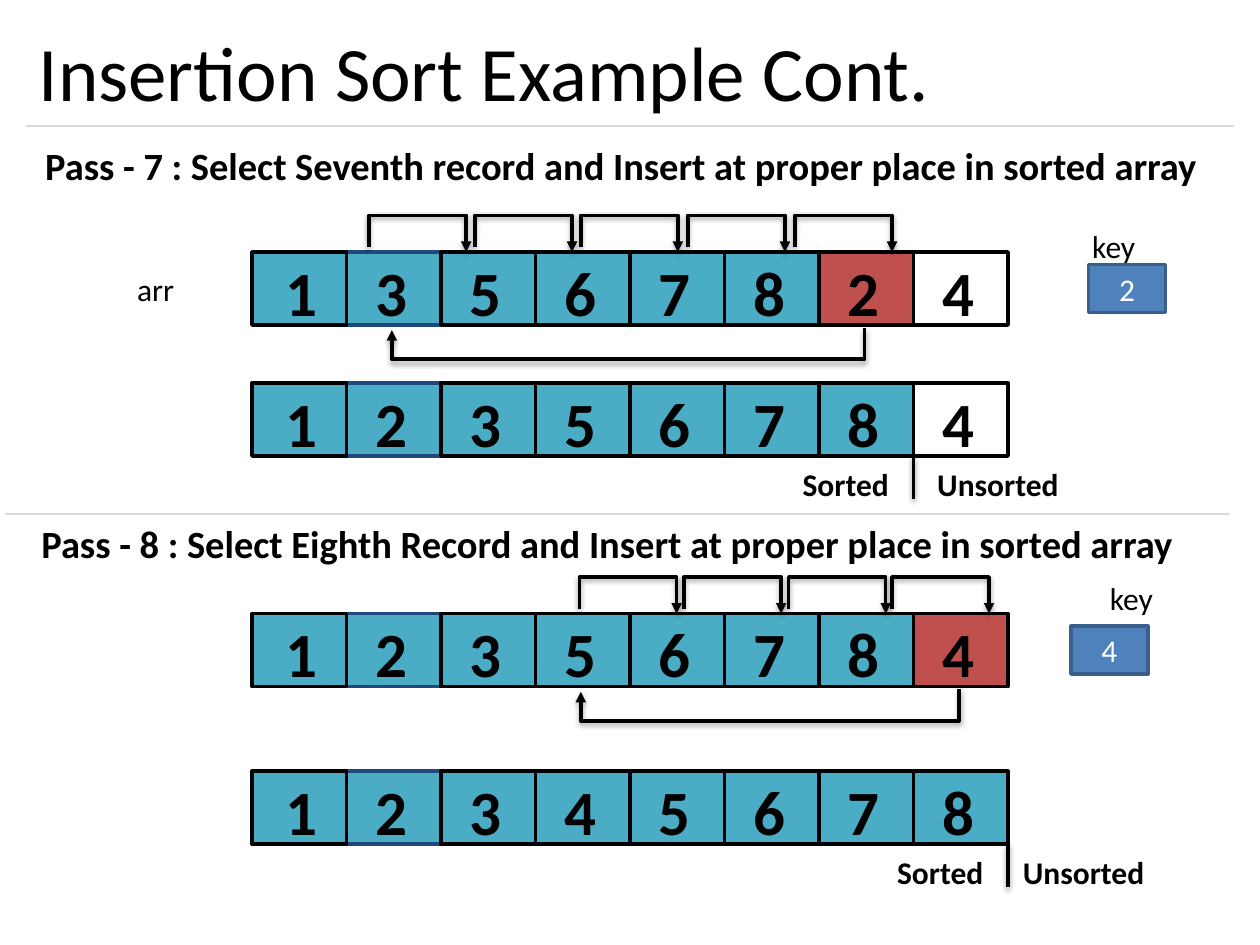
from lxml import etree
from pptx import Presentation
from pptx.dml.color import RGBColor
from pptx.enum.shapes import MSO_CONNECTOR, MSO_SHAPE
from pptx.enum.text import MSO_ANCHOR, MSO_AUTO_SIZE, PP_ALIGN
from pptx.oxml.ns import qn
from pptx.util import Emu, Pt

RECT = MSO_SHAPE.RECTANGLE
LINE, ELBOW = MSO_CONNECTOR.STRAIGHT, MSO_CONNECTOR.ELBOW
LEFT, MID, RIGHT = PP_ALIGN.LEFT, PP_ALIGN.CENTER, PP_ALIGN.RIGHT
TOP, CENTER = MSO_ANCHOR.TOP, MSO_ANCHOR.MIDDLE
GROW = MSO_AUTO_SIZE.SHAPE_TO_FIT_TEXT

BLACK, WHITE, GREY = "000000", "FFFFFF", "D9D9D9"
TEAL, RED, BLUE = "4BACC6", "C0504D", "4F81BD"
NAVY, STEEL = "1F497D", "3A5F8C"
CELL_W, CELL_H = 75, 58
ROW_X = 200
ARC_W, RISE = 77, 25


def px(n):
    """Scale of 100 px to the inch."""
    return Emu(round(n * 9144))


def rgb(code):
    return RGBColor.from_string(code)


def write(shape, text, size=18, color=BLACK, bold=False, align=LEFT, anchor=TOP):
    frame = shape.text_frame
    frame.vertical_anchor = anchor
    para = frame.paragraphs[0]
    para.alignment = align
    run = para.add_run()
    run.text = text
    font = run.font
    font.name, font.size, font.bold = "Calibri", Pt(size), bold
    font.color.rgb = rgb(color)


def label(slide, x, y, w, h, text, **style):
    box = slide.shapes.add_textbox(px(x), px(y), px(w), px(h))
    box.text_frame.word_wrap = False
    box.text_frame.auto_size = GROW
    write(box, text, **style)


def block(slide, x, y, w, h, fill, edge):
    shape = slide.shapes.add_shape(RECT, px(x), px(y), px(w), px(h))
    shape.shadow.inherit = False
    shape.fill.solid()
    shape.fill.fore_color.rgb = rgb(fill)
    shape.line.color.rgb = rgb(edge)
    shape.line.width = Pt(2)
    return shape


def link(slide, x1, y1, x2, y2, kind=LINE, color=BLACK, width=2, shade=True):
    line = slide.shapes.add_connector(kind, px(x1), px(y1), px(x2), px(y2))
    line.line.color.rgb = rgb(color)
    line.line.width = Pt(width)
    glow = etree.SubElement(line._element.spPr, qn("a:effectLst"))
    if shade:
        cast = etree.SubElement(glow, qn("a:outerShdw"), blurRad="40000",
                                dist="20000", dir="5400000", rotWithShape="0")
        tint = etree.SubElement(cast, qn("a:srgbClr"), val=BLACK)
        etree.SubElement(tint, qn("a:alpha"), val="38000")
    return line


def bend(slide, x1, y1, x2, y2, turn):
    """Elbow arrow that runs level at height turn between its two ends."""
    w, h = y2 - y1, abs(x2 - x1)
    cx, cy = (x1 + x2) / 2, (y1 + y2) / 2
    line = link(slide, cx - w / 2, cy - h / 2, cx + w / 2, cy + h / 2, ELBOW)
    props = line._element.spPr
    frame = props.find(qn("a:xfrm"))
    if x1 < x2:
        frame.set("rot", "16200000")
        frame.set("flipH", "1")
    else:
        frame.set("rot", "5400000")
    guides = props.find(qn("a:prstGeom")).get_or_add_avLst()
    ratio = round((turn - y1) / w * 100000)
    etree.SubElement(guides, qn("a:gd"), name="adj1", fmla=f"val {ratio}")
    etree.SubElement(props.find(qn("a:ln")), qn("a:tailEnd"), type="triangle")


def row(slide, y, nums, done, pick=None):
    """Array cells: the first done are sorted, pick is the one being moved."""
    for i in (1, 0, *range(2, len(nums))):
        fill = RED if i == pick else TEAL if i < done else WHITE
        x = ROW_X + i * CELL_W
        block(slide, x, y, CELL_W, CELL_H, fill, NAVY if i == 1 else BLACK)
    for i, num in enumerate(nums):
        x = ROW_X + i * CELL_W + (13 if i else 17)
        label(slide, x, y - 4, 46, 71, num, size=36, bold=True)


def moves(slide, y, starts, home, pick):
    """Shift arrows above a row and the insert arrow below it."""
    for x in starts:
        bend(slide, x, y - 4, x + ARC_W, y, y - 4 - RISE)
    foot = y + CELL_H + 2
    bend(slide, ROW_X + pick * CELL_W + 36, foot, home, foot + 2, foot + RISE)


def split(slide, x, y, gap):
    link(slide, x, y, x, y + 34)
    label(slide, x - 99, y + 2, 95, 40, "Sorted ", bold=True, align=RIGHT)
    label(slide, x + gap, y + 2, 123, 40, "Unsorted", bold=True)


def key(slide, x, y, num, dx, dy):
    """Key box at x, y with its caption offset by dx, dy."""
    label(slide, x + dx, y + dy, 55, 40, "key")
    box = block(slide, x, y, 61, 38, BLUE, STEEL)
    write(box, num, color=WHITE, align=MID, anchor=CENTER)


def head(slide, x, y, w, h, text):
    box = slide.shapes.add_textbox(px(x), px(y), px(w), px(h))
    box.text_frame.word_wrap = True
    write(box, text, size=44, anchor=CENTER)
    link(slide, x, y + h, x + w, y + h, color=GREY, width=0.75, shade=False)


def stage(slide, x, y, w, text, old, new, pick, starts, home, first, last, gap):
    """One pass: caption, array before at y + first, array after at y + last."""
    label(slide, x, y, w, 47, text, size=22, bold=True)
    row(slide, y + first, old, pick, pick)
    moves(slide, y + first, starts, home, pick)
    row(slide, y + last, new, pick + 1)
    edge = ROW_X + (pick + 1) * CELL_W
    split(slide, edge, y + last + CELL_H, gap)


def main():
    deck = Presentation()
    deck.slide_width, deck.slide_height = px(1000), px(750)
    slide = deck.slides.add_slide(deck.slide_layouts[6])
    head(slide, 21, 12, 958, 88, "Insertion Sort Example Cont.")
    stage(slide, 26, 108, 939,
          "Pass - 7 : Select Seventh record and Insert at proper place in sorted array",
          "13567824", "12356784", pick=6, starts=(293, 377, 461, 546, 631),
          home=311, first=92, last=196, gap=9)
    label(slide, 99, 209, 50, 40, "arr")
    key(slide, 864, 210, "2", -7, -35)
    link(slide, 4, 408, 975, 408, color=GREY, width=0.75, shade=False)
    stage(slide, 23, 408, 930,
          "Pass - 8 : Select Eighth Record and Insert at proper place in sorted array",
          "12356784", "12345678", pick=7, starts=(460, 543, 626, 708),
          home=461, first=79, last=204, gap=2)
    key(slide, 850, 497, "4", 21, -42)
    deck.save("out.pptx")


if __name__ == "__main__":
    main()
